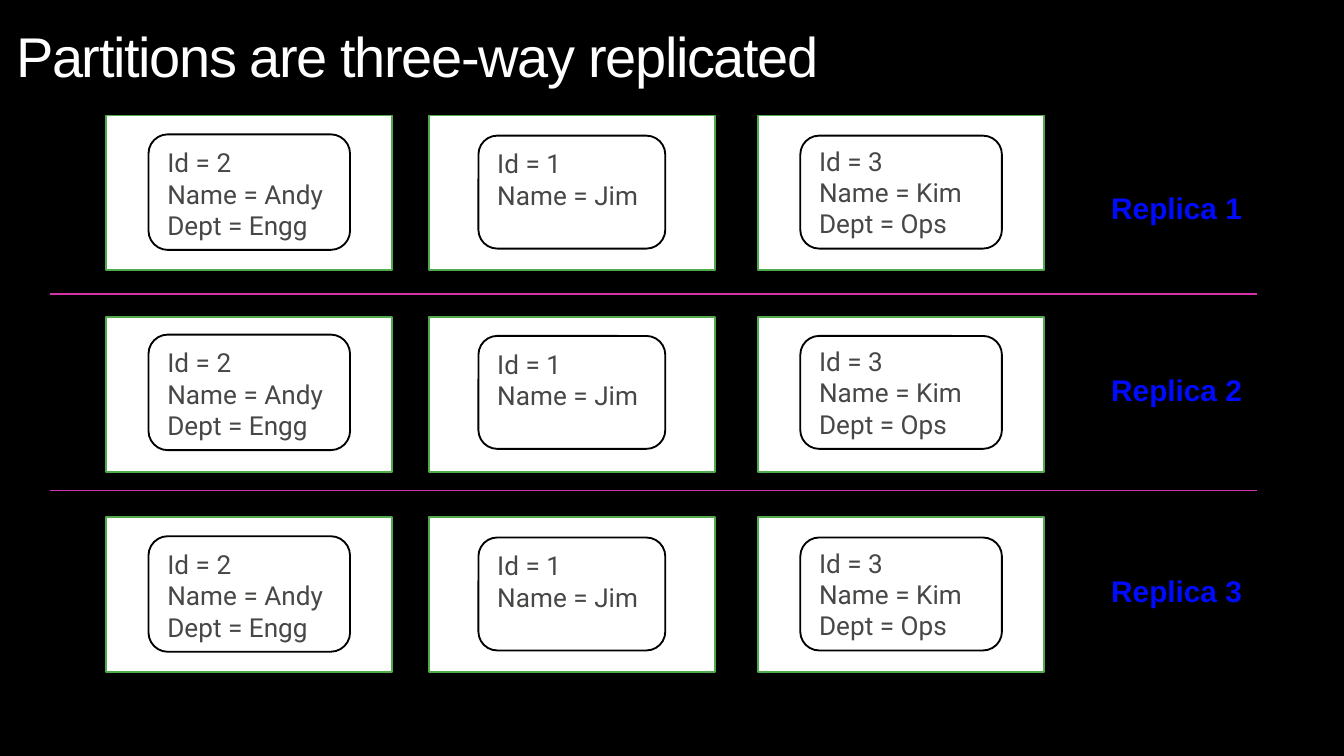
from pptx import Presentation
from pptx.dml.color import RGBColor
from pptx.enum.shapes import MSO_CONNECTOR, MSO_SHAPE
from pptx.enum.text import MSO_ANCHOR, PP_ALIGN
from pptx.oxml.ns import qn
from pptx.util import Inches, Pt

RECT, ROUND = MSO_SHAPE.RECTANGLE, MSO_SHAPE.ROUNDED_RECTANGLE
STRAIGHT = MSO_CONNECTOR.STRAIGHT
TOP, MIDDLE = MSO_ANCHOR.TOP, MSO_ANCHOR.MIDDLE
LEFT = PP_ALIGN.LEFT

TITLE = "Partitions are three-way replicated"
# column left, record width, record height, anchor, record lines
RECORDS = [
    (0.79, 1.5, 0.86, TOP, ["Id = 2", "Name = Andy", "Dept = Engg"]),
    (3.19, 1.39, 0.84, TOP, ["Id = 1", "Name = Jim"]),
    (5.64, 1.5, 0.84, MIDDLE, ["Id = 3", "Name = Kim", "Dept = Ops"]),
]
# row top, middle of the records, label top, label
REPLICAS = [
    (0.86, 1.43, 1.36, "Replica 1"),
    (2.36, 2.92, 2.72, "Replica 2"),
    (3.85, 4.42, 4.21, "Replica 3"),
]
RULES = [2.19, 3.65]
RULE_X = (0.37, 9.35)
NODE_W, NODE_H = 2.13, 1.15
LABEL_X = 8.17

COLORS = {
    "back": "000000", "title": "FFFFFF", "fill": "FFFFFF", "node": "50AA4B",
    "edge": "000000", "text": "474746", "label": "000AFF", "rule": "D232AA",
}


def color(name):
    return RGBColor.from_string(COLORS[name])


def write(frame, lines, font, size, tone, bold=False):
    """Put one paragraph per line into the frame, all in one style."""
    for i, line in enumerate(lines):
        para = frame.paragraphs[0] if i == 0 else frame.add_paragraph()
        para.text = line
        para.alignment = LEFT
        para.font.name = font
        para.font.size = Pt(size)
        para.font.bold = bold
        para.font.color.rgb = color(tone)


def add_box(kind, x, y, w, h, edge):
    box = slide.shapes.add_shape(kind, Inches(x), Inches(y), Inches(w), Inches(h))
    box.shadow.inherit = False
    box.fill.solid()
    box.fill.fore_color.rgb = color("fill")
    box.line.color.rgb = color(edge)
    box.line.width = Pt(1)
    return box


def add_text(x, y, w, h):
    return slide.shapes.add_textbox(
        Inches(x), Inches(y), Inches(w), Inches(h)).text_frame


def add_rule(y):
    x1, x2 = RULE_X
    rule = slide.shapes.add_connector(
        STRAIGHT, Inches(x1), Inches(y), Inches(x2), Inches(y))
    rule.line.color.rgb = color("rule")
    rule.line.width = Pt(1)
    props = rule._element.spPr
    props.append(props.makeelement(qn("a:effectLst"), {}))


deck = Presentation()
deck.slide_width = Inches(10)
deck.slide_height = deck.slide_width * 9 // 16
slide = deck.slides.add_slide(deck.slide_layouts[6])
slide.background.fill.solid()
slide.background.fill.fore_color.rgb = color("back")

head = add_text(0, 0.12, 8.97, 0.6)
head.word_wrap = True
head.margin_left = head.margin_right = Inches(0.12)
head.margin_top = head.margin_bottom = Inches(0.1)
write(head, [TITLE], "Arial", 30, "title")
head.paragraphs[0].line_spacing = 0.9
head.paragraphs[0].runs[0].font._element.set("spc", "-75")

for top, middle, label_y, label in REPLICAS:
    for left, wide, high, anchor, lines in RECORDS:
        add_box(RECT, left, top, NODE_W, NODE_H, "node")
        card = add_box(ROUND, left + (NODE_W - wide) / 2,
                       middle - high / 2, wide, high, "edge")
        card.text_frame.word_wrap = True
        card.text_frame.vertical_anchor = anchor
        write(card.text_frame, lines, "Roboto", 14, "text")
    tag = add_text(LABEL_X, label_y, 1.2, 0.37)
    tag.word_wrap = False
    write(tag, [label], "Arial", 16, "label", bold=True)

for y in RULES:
    add_rule(y)

deck.save("out.pptx")
